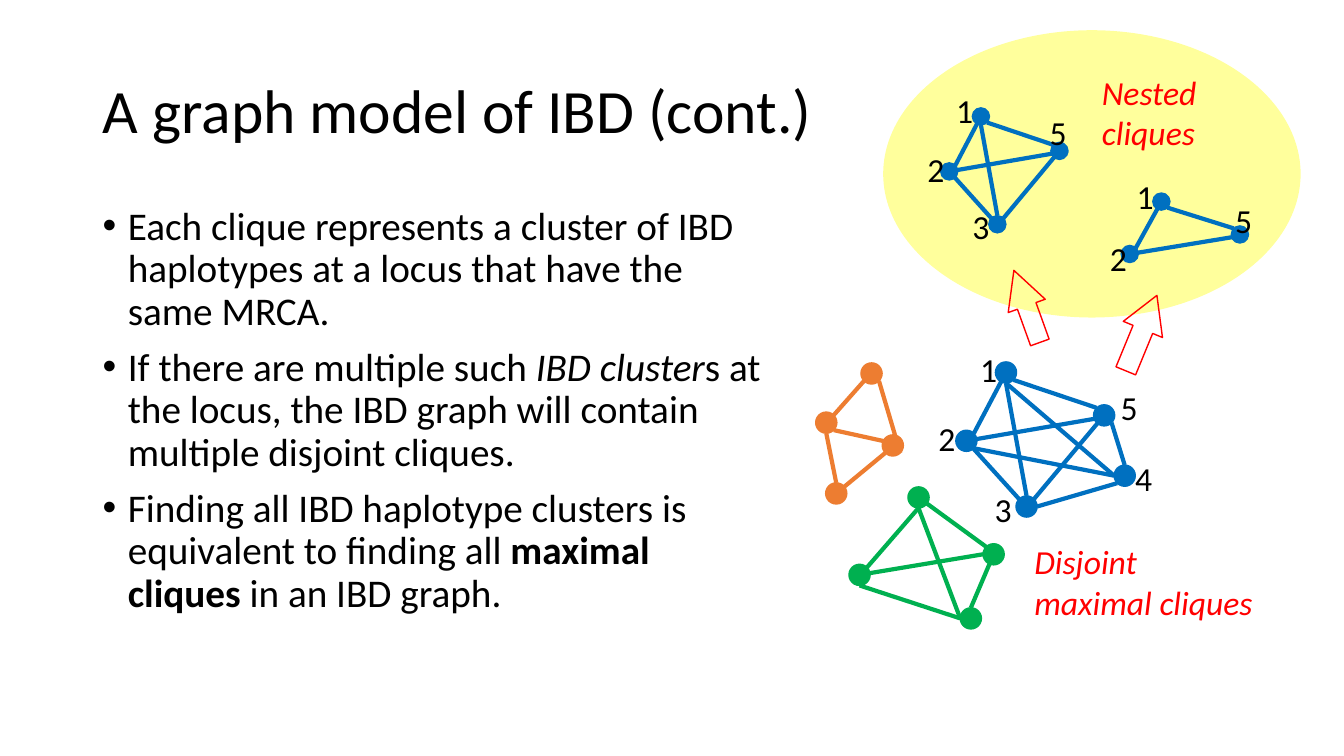
from math import cos, radians, sin

from lxml import etree
from pptx import Presentation
from pptx.dml.color import RGBColor
from pptx.enum.shapes import MSO_CONNECTOR, MSO_SHAPE
from pptx.enum.text import MSO_ANCHOR, PP_ALIGN
from pptx.oxml.ns import qn
from pptx.util import Inches, Pt

OVAL = MSO_SHAPE.OVAL
UP_ARROW = MSO_SHAPE.UP_ARROW
STRAIGHT = MSO_CONNECTOR.STRAIGHT
LEFT = PP_ALIGN.LEFT
MIDDLE = MSO_ANCHOR.MIDDLE

BLACK = RGBColor(0x00, 0x00, 0x00)
RED = RGBColor(0xFF, 0x00, 0x00)
YELLOW = RGBColor(0xFF, 0xFF, 0x00)
ORANGE = RGBColor(0xED, 0x7D, 0x31)
GREEN = RGBColor(0x00, 0xB0, 0x50)
BLUE = RGBColor(0x00, 0x70, 0xC0)

FONT = "Calibri"
CELL = Inches(0.1)

SITE_ANGLES = {"R": 0, "BR": 45, "B": 90, "BL": 135, "L": 180, "TL": 225, "T": 270, "TR": 315}

BULLETS = [
    [("Each clique represents a cluster of IBD haplotypes at a locus that have the same MRCA.", "")],
    [("If there are multiple such ", ""), ("IBD cluster", "italic"),
     ("s at the locus, the IBD graph will contain multiple disjoint cliques.", "")],
    [("Finding all IBD haplotype clusters is equivalent to finding all ", ""),
     ("maximal cliques", "bold"), (" in an IBD graph.", "")],
]

ORANGE_NODES = {"a": (0.68, 0), "b": (1, 0.6), "c": (0.15, 1), "d": (0, 0.41)}
ORANGE_EDGES = ["a.BL d.TR", "b.R d.BR", "a.BR b.BR", "c.T d.B", "b.BL c.C"]

GREEN_NODES = {"a": (0.44, 0), "b": (0.83, 1), "c": (1, 0.47), "d": (0, 0.64)}
GREEN_EDGES = ["c.TL a.C", "a.B d.TR", "c.C b.T", "c.L d.C", "a.B b.L", "b.L d.B"]

BLUE_NODES = {"1": (0.25, 0), "2": (0, 0.51), "3": (0.38, 1), "4": (1, 0.77), "5": (0.87, 0.32)}
BLUE_EDGES = ["3.T 1.B", "5.R 2.C", "4.L 1.B", "5.C 3.TR", "3.TL 2.C",
              "4.L 2.BR", "5.TL 1.BR", "4.T 5.BR", "1.C 2.TR", "4.BL 3.R"]

MAXIMAL_LABELS = {"1": (-3.55, -2.85), "5": (0.65, -3.35), "4": (0.05, -2.25),
                  "3": (-4.15, -2.25), "2": (-3.75, -2.75)}
FOUR_LABELS = {"1": (-3.45, -3.15), "5": (-1.95, -4.35), "3": (-3.45, -2.35), "2": (-3.15, -2.75)}
THREE_LABELS = {"1": (-3.45, -3), "5": (-1.45, -3.9), "2": (-2.95, -2.1)}


def cells(*lengths):
    return [round(length * CELL) for length in lengths]


def style(paragraph, size, color, italic=None):
    paragraph.alignment = LEFT
    paragraph.font.name = FONT
    paragraph.font.size = Pt(size)
    paragraph.font.color.rgb = color
    paragraph.font.italic = italic


def add_text(shapes, box, text, color, italic=None):
    frame = shapes.add_textbox(*cells(*box)).text_frame
    frame.word_wrap = True
    frame.text = text
    style(frame.paragraphs[0], 24, color, italic)


def add_title(slide, box):
    title = slide.shapes.title
    title.left, title.top, title.width, title.height = cells(*box)
    title.text_frame.text = "A graph model of IBD (cont.)"
    title.text_frame.vertical_anchor = MIDDLE
    heading = title.text_frame.paragraphs[0]
    heading.line_spacing = 0.9
    style(heading, 44, BLACK)


def add_bullets(slide, box):
    frame = slide.shapes.add_textbox(*cells(*box)).text_frame
    frame.word_wrap = True
    for index, pieces in enumerate(BULLETS):
        point = frame.add_paragraph() if index else frame.paragraphs[0]
        style(point, 28, BLACK)
        point.line_spacing = 0.9
        point.space_before = Pt(10)
        for text, emphasis in pieces:
            run = point.add_run()
            run.text = text
            if emphasis:
                setattr(run.font, emphasis, True)
        properties = point._p.get_or_add_pPr()
        properties.set("marL", str(Inches(0.25)))
        properties.set("indent", str(-Inches(0.25)))
        etree.SubElement(properties, qn("a:buFont")).set("typeface", "Arial")
        etree.SubElement(properties, qn("a:buChar")).set("char", "•")
        properties.append(properties.find(qn("a:defRPr")))


def add_edge(shapes, start, end, color):
    edge = shapes.add_connector(STRAIGHT, *cells(*start, *end))
    edge.line.color.rgb = color
    edge.line.width = Pt(3)
    etree.SubElement(edge._element.spPr, qn("a:effectLst"))


def add_clique(shapes, box, nodes, edges, color, diameter, labels=None, label_size=(3, 5)):
    left, top, width, height = box
    radius = diameter / 2
    centers = {name: (left + x * width, top + y * height) for name, (x, y) in nodes.items()}

    def site(end):
        name, side = end.split(".")
        x, y = centers[name]
        if side == "C":
            return x, y
        angle = radians(SITE_ANGLES[side])
        return x + radius * cos(angle), y + radius * sin(angle)

    for x, y in centers.values():
        node = shapes.add_shape(OVAL, *cells(x - radius, y - radius, diameter, diameter))
        node.shadow.inherit = False
        node.fill.solid()
        node.fill.fore_color.rgb = color
        node.line.color.rgb = color
        node.line.width = Pt(1)
    for edge in edges:
        start, end = edge.split()
        if start[0] in nodes and end[0] in nodes:
            add_edge(shapes, site(start), site(end), color)
    for name, (dx, dy) in (labels or {}).items():
        x, y = centers[name]
        add_text(shapes, (x + dx, y + dy, *label_size), name, BLACK)


def add_arrow(shapes, box, rotation, head):
    arrow = shapes.add_shape(UP_ARROW, *cells(*box))
    arrow.shadow.inherit = False
    arrow.rotation = rotation
    arrow.adjustments[1] = head
    arrow.fill.background()
    arrow.line.color.rgb = RED
    arrow.line.width = Pt(1)


def add_maximal_cliques(slide, box):
    left, top, width, height = box
    shapes = slide.shapes.add_group_shape().shapes
    add_text(shapes, (left + 20.7, top + 17.3, 23.9, 9.1), "Disjoint maximal cliques", RED, True)
    add_clique(shapes, (left + 1.05, top + 1.15, 6.6, 11.9), ORANGE_NODES, ORANGE_EDGES, ORANGE, 2.1)
    add_clique(shapes, (left + 4.35, top + 13.45, 13.3, 12), GREEN_NODES, GREEN_EDGES, GREEN, 2.1)
    add_clique(shapes, (left + 14.95, top + 1.05, 15.7, 13.3), BLUE_NODES, BLUE_EDGES, BLUE, 2.1,
               MAXIMAL_LABELS)


def add_nested_cliques(slide, box):
    left, top, width, height = box
    shapes = slide.shapes.add_group_shape().shapes
    halo = shapes.add_shape(OVAL, *cells(*box))
    halo.shadow.inherit = False
    halo.fill.solid()
    halo.fill.fore_color.rgb = YELLOW
    halo.line.fill.background()
    shade = halo._element.spPr.find(qn("a:solidFill"))[0]
    etree.SubElement(shade, qn("a:alpha")).set("val", "39000")
    four = {name: BLUE_NODES[name] for name in FOUR_LABELS}
    three = {name: BLUE_NODES[name] for name in THREE_LABELS}
    add_clique(shapes, (left + 6.55, top + 8.55, 12.56, 10.7), four, BLUE_EDGES, BLUE, 1.7,
               FOUR_LABELS, (2.4, 4.1))
    add_clique(shapes, (left + 24.45, top + 17, 12.56, 10.2), three, BLUE_EDGES, BLUE, 1.7,
               THREE_LABELS, (2.4, 3.9))
    add_arrow(shapes, (left + 12.3, top + 23.6, 3.9, 7.6), 340.2, 0.96)
    add_arrow(shapes, (left + 23.5, top + 26, 4.2, 8.1), 22.4, 0.87)
    add_text(shapes, (left + 20.7, top + 3.6, 16.4, 9.1), "Nested cliques", RED, True)


def main():
    deck = Presentation()
    deck.slide_width = Inches(13.33)
    deck.slide_height = Inches(7.5)
    slide = deck.slides.add_slide(deck.slide_layouts[5])
    add_title(slide, (9.2, 4, 115, 14.5))
    add_bullets(slide, (9.2, 20, 67.3, 47.6))
    add_maximal_cliques(slide, (80.9, 35.9, 44.6, 26.5))
    add_nested_cliques(slide, (87.6, 3, 41.4, 28.5))
    deck.save("out.pptx")


if __name__ == "__main__":
    main()
